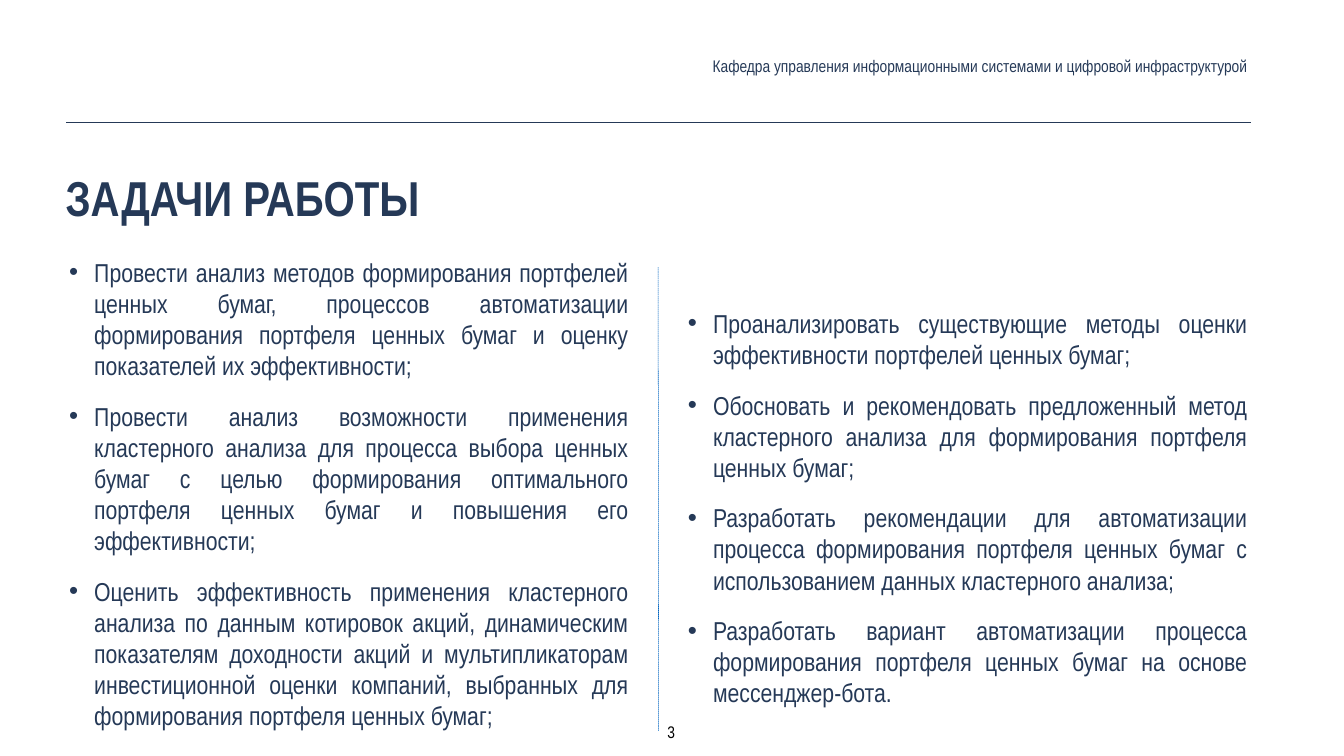
from lxml import etree
from pptx import Presentation
from pptx.dml.color import RGBColor
from pptx.enum import dml, shapes, text
from pptx.oxml import ns
from pptx.util import Inches, Pt

COLORS = {"navy": "253957", "blue": "0365C0", "black": "000000"}
FONT = "Arial Narrow"

deck = Presentation()
deck.slide_width, deck.slide_height = Inches(26.67), Inches(15)
slide = deck.slides.add_slide(deck.slide_layouts[6])


def add_text(left, top, width, height, lines, size, align, color="navy", bold=None, bullet=False):
    box = slide.shapes.add_textbox(Inches(left), Inches(top), Inches(width), Inches(height))
    frame = box.text_frame
    frame.word_wrap = True
    frame.margin_left = frame.margin_right = Inches(0.08)
    frame.margin_top = frame.margin_bottom = Inches(0.08)
    frame.text = "\n".join(lines)
    for index, paragraph in enumerate(frame.paragraphs):
        if bullet:
            properties = paragraph._p.get_or_add_pPr()
            properties.set("marL", str(Inches(0.5)))
            properties.set("indent", str(-Inches(0.5)))
            etree.SubElement(properties, ns.qn("a:buFont")).set("typeface", "Arial")
            etree.SubElement(properties, ns.qn("a:buChar")).set("char", "•")
            if index:
                paragraph.space_before = Pt(28)
        paragraph.alignment = align
        for run in paragraph.runs:
            run.font.name = FONT
            run.font.size = Pt(size)
            run.font.bold = bold
            run.font.color.rgb = RGBColor.from_string(COLORS[color])
    return frame


def add_rule(x1, y1, x2, y2, color, width):
    rule = slide.shapes.add_connector(
        shapes.MSO_CONNECTOR.STRAIGHT, Inches(x1), Inches(y1), Inches(x2), Inches(y2))
    rule.line.color.rgb = RGBColor.from_string(COLORS[color])
    rule.line.width = Pt(width)
    etree.SubElement(rule._element.spPr, ns.qn("a:effectLst"))
    return rule


research_tasks = [
    "Провести анализ методов формирования портфелей ценных бумаг, процессов автоматизации "
    "формирования портфеля ценных бумаг и оценку показателей их эффективности;",
    "Провести анализ возможности применения кластерного анализа для процесса выбора ценных бумаг "
    "с целью формирования оптимального портфеля ценных бумаг и повышения его эффективности;",
    "Оценить эффективность применения кластерного анализа по данным котировок акций, динамическим "
    "показателям доходности акций и мультипликаторам инвестиционной оценки компаний, выбранных "
    "для формирования портфеля ценных бумаг;",
]
development_tasks = [
    "Проанализировать существующие методы оценки эффективности портфелей ценных бумаг;",
    "Обосновать и рекомендовать предложенный метод кластерного анализа для формирования "
    "портфеля ценных бумаг;",
    "Разработать рекомендации для автоматизации процесса формирования портфеля ценных бумаг "
    "с использованием данных кластерного анализа;",
    "Разработать вариант автоматизации процесса формирования портфеля ценных бумаг на основе "
    "мессенджер-бота.",
]
for left, top, height, tasks in [(1.29, 5.01, 9.6, research_tasks), (13.57, 6.02, 8.2, development_tasks)]:
    add_text(left, top, 11.26, height, tasks, 37, text.PP_ALIGN.JUSTIFY, bullet=True)

add_text(1.22, 3.25, 23.52, 2.53, ["ЗАДАЧИ РАБОТЫ"], 70, text.PP_ALIGN.LEFT, bold=True)

add_rule(1.31, 2.42, 24.83, 2.42, "navy", 1)

department = add_text(
    12.4, 1.03, 12.43, 0.56,
    ["Кафедра управления информационными системами и цифровой инфраструктурой"],
    24, text.PP_ALIGN.RIGHT)
department.vertical_anchor = text.MSO_ANCHOR.MIDDLE

column_divider = add_rule(13.06, 5.3, 13.07, 14.51, "blue", 0.75)
column_divider.line.dash_style = dml.MSO_LINE.SQUARE_DOT

page_number = add_text(13.05, 14.23, 0.54, 0.56, ["3"], 24, text.PP_ALIGN.CENTER, color="black")
page_number.word_wrap = False

deck.save("out.pptx")
